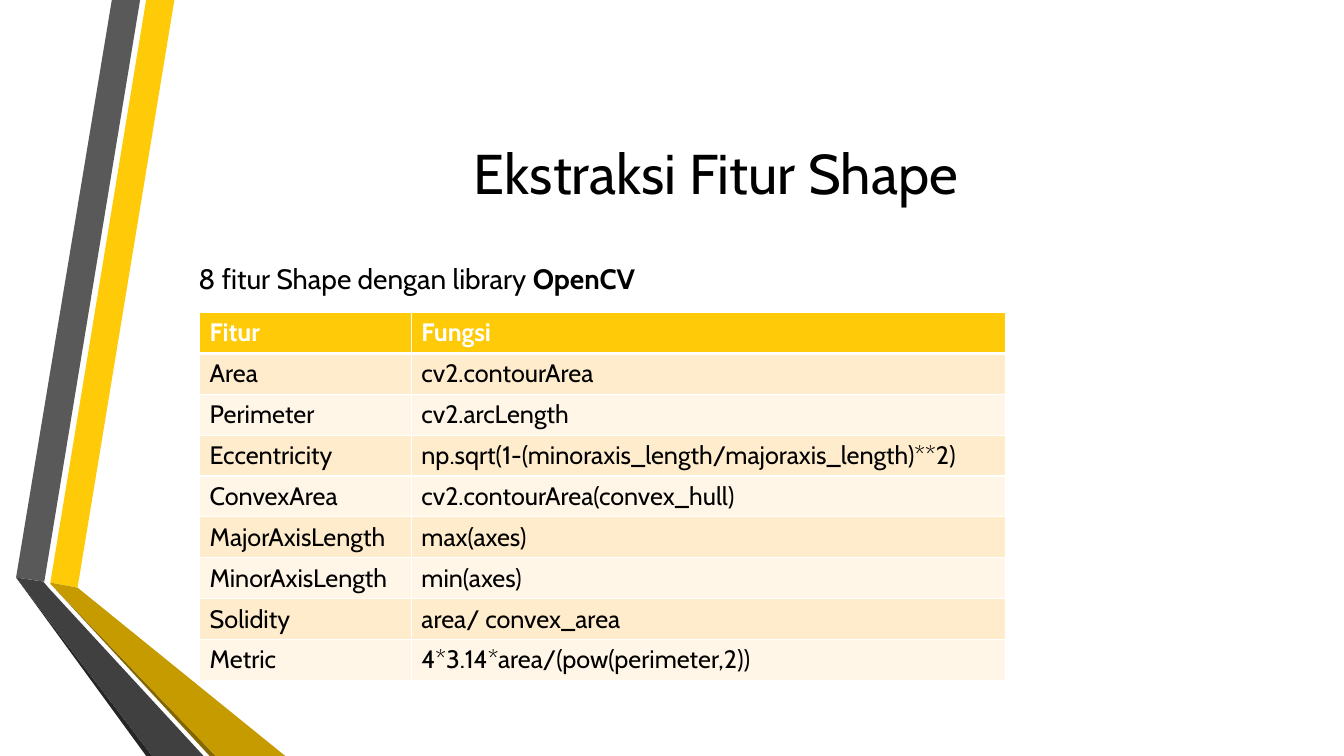
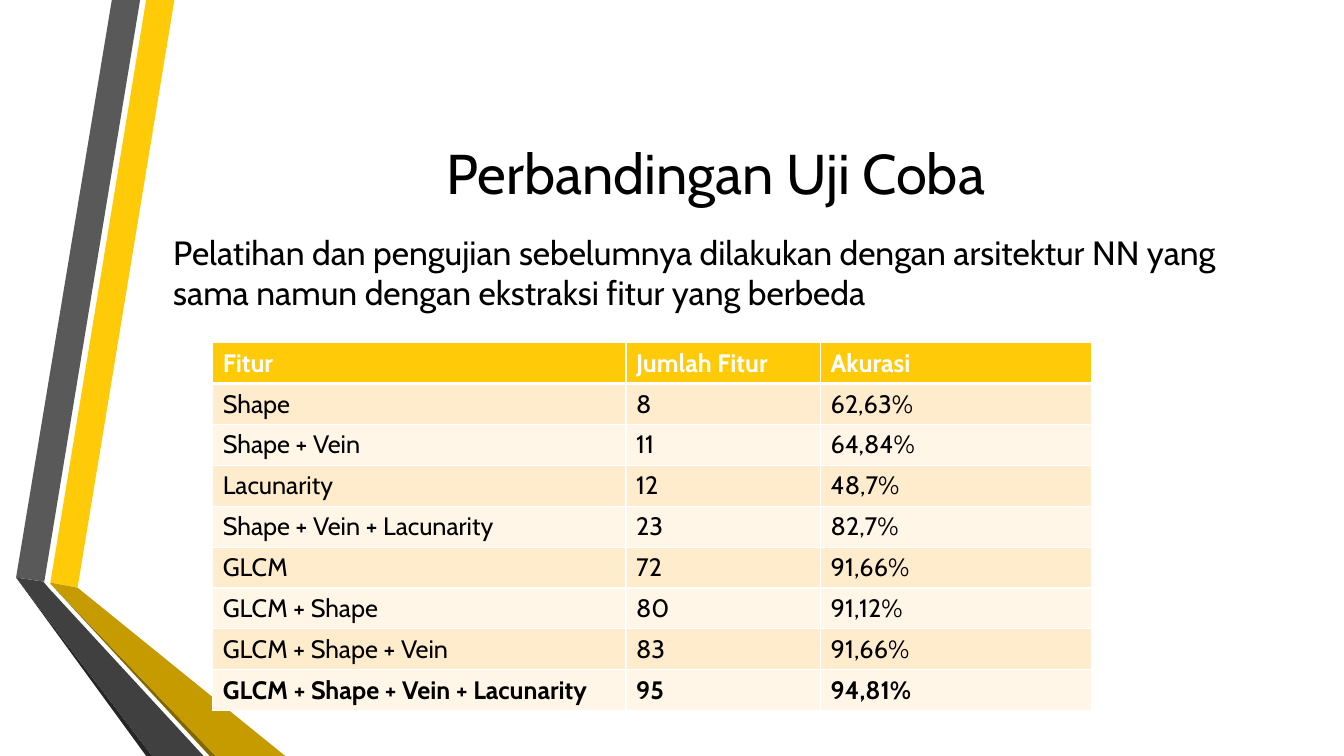
from lxml import etree
from pptx import Presentation
from pptx.dml.color import RGBColor
from pptx.enum.text import MSO_ANCHOR as Anchor, PP_ALIGN as Align
from pptx.oxml.ns import qn
from pptx.util import Inches, Pt

FONT = "Cabin"
BLACK = RGBColor(0x00, 0x00, 0x00)
WHITE = RGBColor(0xFF, 0xFF, 0xFF)
YELLOW = RGBColor(0xFF, 0xCA, 0x08)
GOLD = RGBColor(0xC5, 0x9B, 0x00)
DARK_GOLD = RGBColor(0x84, 0x67, 0x00)
GREY = RGBColor(0x59, 0x59, 0x59)
DARK_GREY = RGBColor(0x40, 0x40, 0x40)
CHARCOAL = RGBColor(0x26, 0x26, 0x26)
PEACH = RGBColor(0xFF, 0xEC, 0xCC)
CREAM = RGBColor(0xFF, 0xF6, 0xE7)

ROW_HEIGHT = 3.65 / 9
TEXT_LEFT, TEXT_WIDTH = 1.62, 10.96

RIBBON = [
    (YELLOW, [(0.5, 5.78), (0.77, 5.83), (1.73, 0), (1.45, 0)]),
    (GREY, [(1.39, 0), (1.11, 0), (0.16, 5.73), (0.44, 5.77)]),
    (CHARCOAL, [(0.16, 5.73), (1.45, 7.5), (1.51, 7.5)]),
    (DARK_GOLD, [(0.5, 5.79), (2.08, 7.5), (2.14, 7.5)]),
    (GOLD, [(0.5, 5.79), (2.14, 7.5), (2.83, 7.5), (0.77, 5.83), (0.5, 5.78)]),
    (DARK_GREY, [(2.02, 7.5), (0.48, 5.83), (0.43, 5.77), (0.16, 5.73), (1.51, 7.5)]),
]

SHAPE_FEATURES = [
    ("Fitur", "Fungsi"),
    ("Area", "cv2.contourArea"),
    ("Perimeter", "cv2.arcLength"),
    ("Eccentricity", "np.sqrt(1-(minoraxis_length/majoraxis_length)**2)"),
    ("ConvexArea", "cv2.contourArea(convex_hull)"),
    ("MajorAxisLength", "max(axes)"),
    ("MinorAxisLength", "min(axes)"),
    ("Solidity", "area/ convex_area"),
    ("Metric", "4*3.14*area/(pow(perimeter,2))"),
]

TRIAL_RESULTS = [
    ("Fitur", "Jumlah Fitur", "Akurasi"),
    ("Shape", "8", "62,63%"),
    ("Shape + Vein", "11", "64,84%"),
    ("Lacunarity", "12", "48,7%"),
    ("Shape + Vein + Lacunarity", "23", "82,7%"),
    ("GLCM", "72", "91,66%"),
    ("GLCM + Shape", "80", "91,12%"),
    ("GLCM + Shape + Vein", "83", "91,66%"),
    ("GLCM + Shape + Vein + Lacunarity", "95", "94,81%"),
]


def write(para, text, size=18, color=BLACK, bold=False):
    span = para.add_run()
    span.text = text
    span.font.name = FONT
    span.font.size = Pt(size)
    span.font.bold = bold
    span.font.color.rgb = color


def add_text(page, top, height, spans, size, anchor=Anchor.TOP, align=Align.LEFT, indent=0):
    box = page.shapes.add_textbox(
        Inches(TEXT_LEFT + indent), Inches(top), Inches(TEXT_WIDTH - indent), Inches(height)
    )
    frame = box.text_frame
    frame.word_wrap = True
    frame.vertical_anchor = anchor
    para = frame.paragraphs[0]
    para.alignment = align
    for text, bold in spans:
        write(para, text, size=size, bold=bold)


def add_ribbon(page):
    group = page.shapes.add_group_shape()
    for color, corners in RIBBON:
        points = [(Inches(x), Inches(y)) for x, y in corners]
        builder = group.shapes.build_freeform(*points[0])
        builder.add_line_segments(points[1:], close=True)
        band = builder.convert_to_shape()
        band.shadow.inherit = False
        band.fill.solid()
        band.fill.fore_color.rgb = color
        band.line.fill.background()


def add_border(cell, side, width):
    line = etree.SubElement(cell._tc.get_or_add_tcPr(), qn(f"a:ln{side}"), w=str(Pt(width)))
    fill = etree.SubElement(line, qn("a:solidFill"))
    etree.SubElement(fill, qn("a:srgbClr"), val=str(WHITE))


def style_cell(cell, text, row, bold):
    header = row == 0
    edges = {"L": 1, "R": 1, "T": 3 if row == 1 else 1, "B": 3 if header else 1}
    for side, width in edges.items():
        add_border(cell, side, width)
    cell.fill.solid()
    cell.fill.fore_color.rgb = YELLOW if header else PEACH if row % 2 else CREAM
    write(cell.text_frame.paragraphs[0], text, color=WHITE if header else BLACK, bold=bold)


def add_grid(page, left, top, widths, rows, bold_rows=(0,)):
    table = page.shapes.add_table(
        len(rows), len(widths), Inches(left), Inches(top),
        Inches(sum(widths)), Inches(ROW_HEIGHT * len(rows)),
    ).table
    for column, width in zip(table.columns, widths):
        column.width = Inches(width)
    for row, texts in enumerate(rows):
        table.rows[row].height = Inches(ROW_HEIGHT)
        for column, text in enumerate(texts):
            style_cell(table.cell(row, column), text, row, row in bold_rows)


def add_page(deck, title):
    page = deck.slides.add_slide(deck.slide_layouts[6])
    add_ribbon(page)
    add_text(page, 0.75, 1.92, [(title, False)], 40, anchor=Anchor.MIDDLE, align=Align.CENTER)
    return page


def main():
    deck = Presentation()
    deck.slide_width, deck.slide_height = Inches(13.33), Inches(7.5)

    page = add_page(deck, "Ekstraksi Fitur Shape")
    intro = [("8 fitur Shape dengan library ", False), ("OpenCV", True)]
    add_text(page, 2.24, 1.05, intro, 20, anchor=Anchor.MIDDLE, indent=0.25)
    add_grid(page, 1.98, 3.1, [2.1, 5.89], SHAPE_FEATURES)

    page = add_page(deck, "Perbandingan Uji Coba")
    intro = [("Pelatihan dan pengujian sebelumnya dilakukan dengan arsitektur NN yang sama "
              "namun dengan ekstraksi fitur yang berbeda", False)]
    add_text(page, 2.25, 1, intro, 24)
    add_grid(page, 2.11, 3.4, [4.1, 1.93, 2.69], TRIAL_RESULTS, bold_rows=(0, 8))

    deck.save("out.pptx")


if __name__ == "__main__":
    main()
